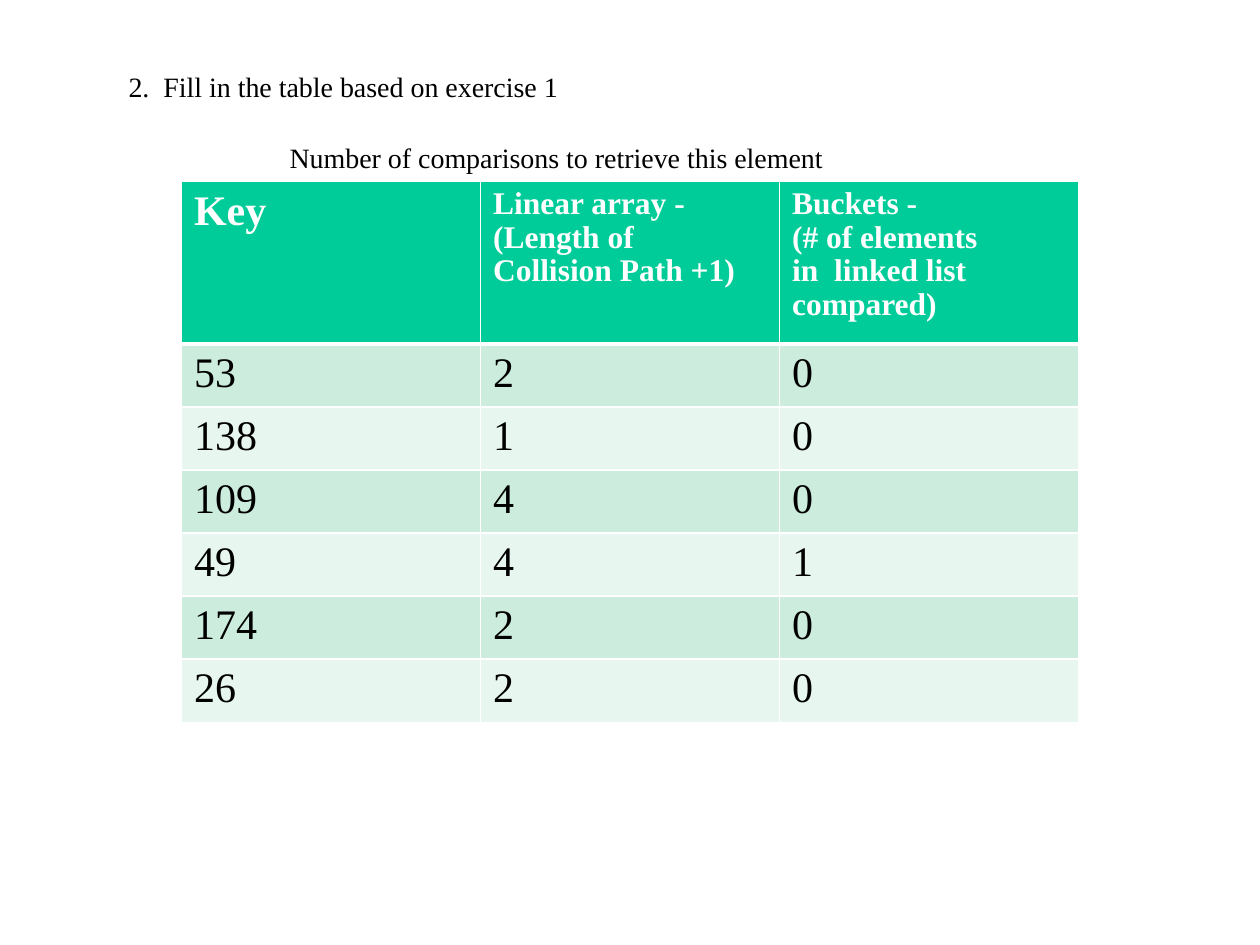
from pptx import Presentation
from pptx.dml.color import RGBColor
from pptx.enum.text import MSO_ANCHOR, MSO_AUTO_SIZE, PP_ALIGN
from pptx.oxml import parse_xml
from pptx.oxml.ns import nsdecls
from pptx.util import Inches, Pt

BLACK = RGBColor(0, 0, 0)
WHITE = RGBColor(255, 255, 255)
GREEN = RGBColor(0x00, 0xCC, 0x99)
MINT = RGBColor(0xCC, 0xEC, 0xDE)
PALE = RGBColor(0xE7, 0xF6, 0xEF)


class Deck:
    """Holds the text style and the current slide."""

    def __init__(self, width, height, font):
        self.prs = Presentation()
        self.prs.slide_width, self.prs.slide_height = Inches(width), Inches(height)
        self.font = font
        self.s = self.prs.slides.add_slide(self.prs.slide_layouts[5])

    def fill_text(self, tf, lines, size, color=BLACK, bold=False, spacing=1.0):
        for i, line in enumerate(lines):
            p = tf.paragraphs[0] if i == 0 else tf.add_paragraph()
            p.alignment = PP_ALIGN.LEFT
            p.line_spacing = spacing
            r = p.add_run()
            r.text = line
            for name, value in {"name": self.font, "size": Pt(size), "bold": bold}.items():
                setattr(r.font, name, value)
            r.font.color.rgb = color

    def place(self, sp, text, box):
        sp.left, sp.top, sp.width, sp.height = map(Inches, box)
        tf = sp.text_frame
        formats = {"word_wrap": False, "auto_size": MSO_AUTO_SIZE.SHAPE_TO_FIT_TEXT,
                   "vertical_anchor": MSO_ANCHOR.TOP}
        for name, value in formats.items():
            setattr(tf, name, value)
        self.fill_text(tf, [text], 16)

    def title(self, text, box):
        self.place(self.s.shapes.title, text, box)

    def text(self, text, box):
        self.place(self.s.shapes.add_textbox(*map(Inches, box)), text, box)

    def borders(self, cell, **widths):
        tcPr = cell._tc.get_or_add_tcPr()
        for i, side in enumerate("LRTB"):
            tcPr.insert(i, parse_xml(
                f'<a:ln{side} {nsdecls("a")} w="{Pt(widths.get(side, 1))}">'
                f'<a:solidFill><a:srgbClr val="{WHITE}"/></a:solidFill></a:ln{side}>'))

    def table(self, header, rows, box, heights):
        shape = self.s.shapes.add_table(len(rows) + 1, len(header), *map(Inches, box))
        table = shape.table
        for i, values in enumerate([header] + rows):
            head = i == 0
            table.rows[i].height = Inches(heights[0 if head else 1])
            for j, value in enumerate(values):
                cell = table.cell(i, j)
                cell.fill.solid()
                cell.fill.fore_color.rgb = GREEN if head else MINT if i % 2 else PALE
                lines = str(value).split("\n")
                size = 18 if len(lines) > 1 else 24
                self.fill_text(cell.text_frame, lines, size, WHITE if head else BLACK,
                               head, 0.96 if len(lines) > 1 else 1.0)
                self.borders(cell, B=3 if head else 1, T=3 if i == 1 else 1)


deck = Deck(10, 7.5, "Times New Roman")
deck.title("2.  Fill in the table based on exercise 1", (0.92, 0.5, 3.63, 0.37))
deck.text("Number of comparisons to retrieve this element", (2.2, 1.07, 4.5, 0.37))
deck.table(
    ["Key", "Linear array - \n(Length of \nCollision Path +1)",
     "Buckets - \n(# of elements\nin  linked list\ncompared)"],
    [[53, 2, 0], [138, 1, 0], [109, 4, 0], [49, 4, 1], [174, 2, 0], [26, 2, 0]],
    (1.44, 1.44, 7.12, 4.29), (1.29, 0.5))
deck.prs.save("out.pptx")
